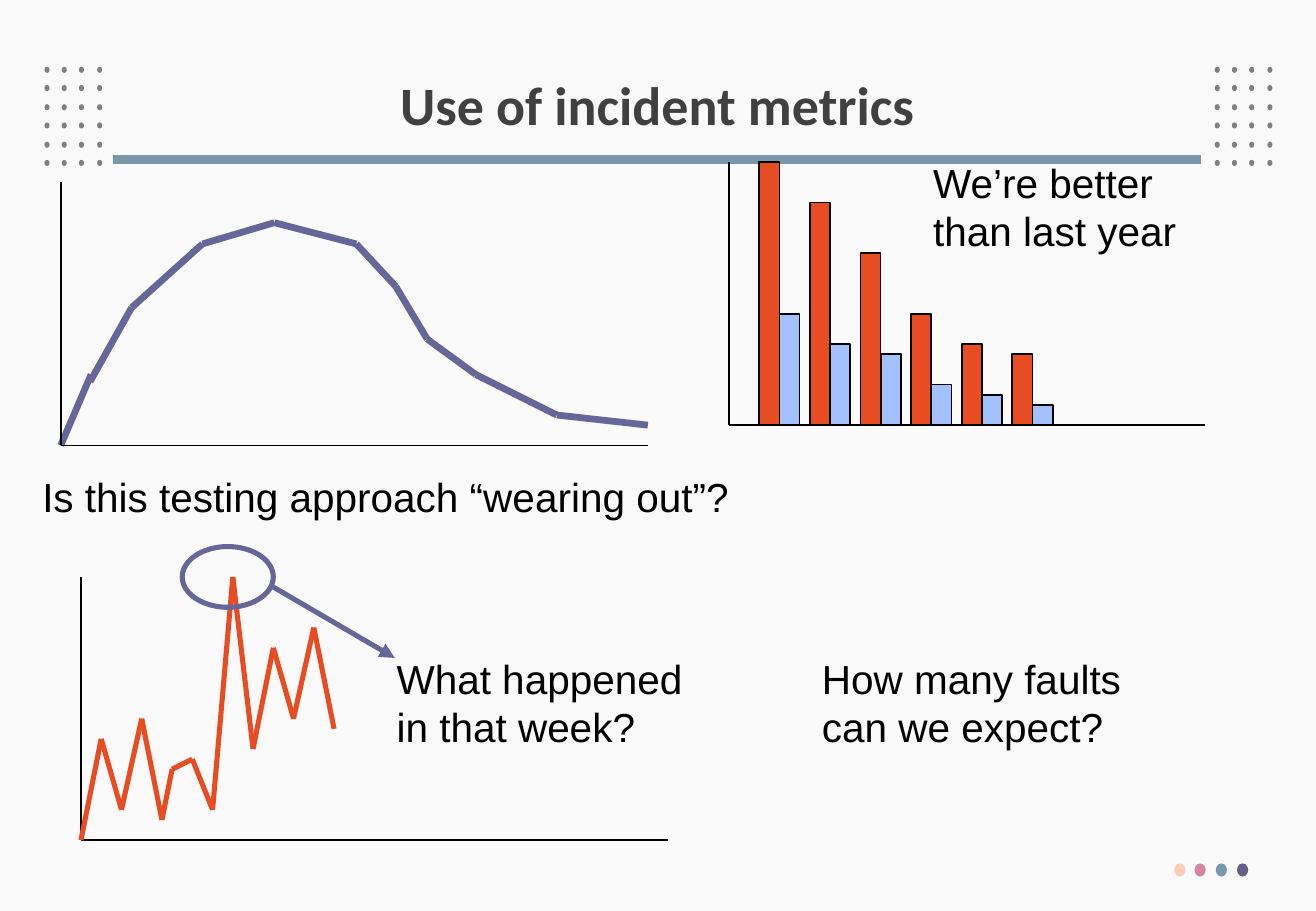
from dataclasses import dataclass
from itertools import pairwise, product

import lxml.etree
import pptx
import pptx.dml.color
import pptx.enum.shapes
import pptx.enum.text
import pptx.oxml.ns
import pptx.slide
import pptx.util

SCALE = 7620
COLORS = {
    "back": "FAFAFA", "dot": "808080", "title": "404040", "black": "000000",
    "violet": "666699", "red": "E84C22", "blue": "A2C1FE", "steel": "7897AB",
    "peach": "FDCEB9", "pink": "D885A3", "plum": "655D8A",
}
KINDS = pptx.enum.shapes.MSO_SHAPE
ANCHOR = pptx.enum.text.MSO_ANCHOR
ALIGN = pptx.enum.text.PP_ALIGN
Slide = pptx.slide.Slide
Point = tuple[int, int]


@dataclass(frozen=True)
class Box:
    left: int
    top: int
    width: int
    height: int


@dataclass(frozen=True)
class Plot:
    left: int
    top: int
    right: int
    base: int


@dataclass(frozen=True)
class Curve:
    points: tuple[Point, ...]
    color: str
    weight: float


@dataclass(frozen=True)
class Series:
    left: int
    heights: tuple[int, ...]
    color: str


@dataclass(frozen=True)
class Note:
    box: Box
    lines: tuple[str, ...]


WEAR = Plot(60, 180, 640, 440)
WEEKS = Plot(80, 570, 660, 830)
YEARS = Plot(720, 160, 1190, 420)

RISE = Curve(((60, 440), (90, 370)), "violet", 4)
FALL = Curve(
    ((89, 377), (130, 304), (200, 241), (271, 220), (352, 241), (391, 283),
     (422, 335), (470, 370), (550, 410), (640, 420)), "violet", 4)
SPIKES = Curve(
    ((80, 830), (100, 730), (120, 800), (140, 710), (160, 810), (170, 760),
     (190, 750), (210, 800), (230, 570), (250, 740), (270, 640), (290, 710),
     (310, 620), (330, 720)), "red", 3)

BARS = (
    Series(750, (260, 220, 170, 110, 80, 70), "red"),
    Series(770, (110, 80, 70, 40, 30, 20), "blue"),
)
BAR_WIDTH = 20
BAR_STEP = 50

NOTES = (
    Note(Box(30, 460, 703, 60), ("Is this testing approach “wearing out”?",)),
    Note(Box(380, 640, 307, 108), ("What happened", "in that week?")),
    Note(Box(910, 150, 264, 108), ("We’re better", "than last year")),
    Note(Box(800, 640, 320, 108), ("How many faults", "can we expect?")),
)
TITLE = Note(Box(89, 48, 1121, 118), ("Use of incident metrics",))


def px(count: int) -> pptx.util.Emu:
    return pptx.util.Emu(count * SCALE)


def tint(name: str) -> pptx.dml.color.RGBColor:
    return pptx.dml.color.RGBColor.from_string(COLORS[name])


def draw_shape(slide: Slide, kind: KINDS, box: Box, fill: str | None = None,
               edge: str | None = None, weight: float = 1) -> None:
    shape = slide.shapes.add_shape(
        kind, px(box.left), px(box.top), px(box.width), px(box.height))
    shape.shadow.inherit = False
    if fill:
        shape.fill.solid()
        shape.fill.fore_color.rgb = tint(fill)
    else:
        shape.fill.background()
    if edge:
        shape.line.color.rgb = tint(edge)
        shape.line.width = pptx.util.Pt(weight)
    else:
        shape.line.fill.background()


def draw_line(slide: Slide, start: Point, end: Point, color: str,
              weight: float, arrow: bool = False) -> None:
    line = slide.shapes.add_connector(
        pptx.enum.shapes.MSO_CONNECTOR.STRAIGHT, *map(px, start + end))
    line.line.color.rgb = tint(color)
    line.line.width = pptx.util.Pt(weight)
    props = line._element.spPr
    qn = pptx.oxml.ns.qn
    if arrow:
        lxml.etree.SubElement(
            props.find(qn("a:ln")), qn("a:tailEnd"), type="triangle")
    lxml.etree.SubElement(props, qn("a:effectLst"))


def draw_axes(slide: Slide, plot: Plot) -> None:
    zero = (plot.left, plot.base)
    for end in ((plot.right, plot.base), (plot.left, plot.top)):
        draw_line(slide, zero, end, "black", 1)


def draw_curve(slide: Slide, curve: Curve) -> None:
    for start, end in pairwise(curve.points):
        draw_line(slide, start, end, curve.color, curve.weight)


def draw_bars(slide: Slide, series: Series, base: int) -> None:
    for rank, height in enumerate(series.heights):
        box = Box(series.left + rank * BAR_STEP, base - height, BAR_WIDTH, height)
        draw_shape(slide, KINDS.RECTANGLE, box, series.color, "black")


def draw_note(slide: Slide, note: Note, title: bool = False) -> None:
    box = note.box
    shape = slide.shapes.add_textbox(
        px(box.left), px(box.top), px(box.width), px(box.height))
    frame = shape.text_frame
    frame.word_wrap = title
    if title:
        frame.vertical_anchor = ANCHOR.MIDDLE
    else:
        frame.auto_size = pptx.enum.text.MSO_AUTO_SIZE.SHAPE_TO_FIT_TEXT
    for rank, text in enumerate(note.lines):
        para = frame.add_paragraph() if rank else frame.paragraphs[0]
        para.alignment = ALIGN.CENTER if title else ALIGN.LEFT
        if title:
            para.line_spacing = 0.9
        run = para.add_run()
        run.text = text
        run.font.name = "Calibri" if title else "Arial"
        run.font.size = pptx.util.Pt(32 if title else 24)
        run.font.bold = title
        run.font.color.rgb = tint("title" if title else "black")


def draw_frame(slide: Slide) -> None:
    for row, left, col in product(range(6), (44, 1200), range(4)):
        box = Box(left + col * 52 // 3, 66 + row * 37 // 2, 5, 6)
        draw_shape(slide, KINDS.OVAL, box, "dot")
    draw_line(slide, (1186, 158), (112, 158), "steel", 5.25)
    for col, color in enumerate(("peach", "pink", "steel", "plum")):
        draw_shape(slide, KINDS.OVAL, Box(1160 + col * 62 // 3, 853, 11, 13), color)


def main() -> None:
    deck = pptx.Presentation()
    deck.slide_width, deck.slide_height = px(1300), px(900)
    slide = deck.slides.add_slide(deck.slide_layouts[6])
    slide.background.fill.solid()
    slide.background.fill.fore_color.rgb = tint("back")

    draw_frame(slide)
    draw_note(slide, TITLE, title=True)
    for curve in (FALL, RISE):
        draw_curve(slide, curve)
    for plot in (WEAR, WEEKS, YEARS):
        draw_axes(slide, plot)
    draw_curve(slide, SPIKES)
    for series in BARS:
        draw_bars(slide, series, YEARS.base)
    for note in NOTES:
        draw_note(slide, note)
    draw_shape(slide, KINDS.OVAL, Box(180, 540, 90, 60), edge="violet", weight=3)
    draw_line(slide, (270, 580), (390, 650), "violet", 3, arrow=True)
    deck.save("out.pptx")


if __name__ == "__main__":
    main()
